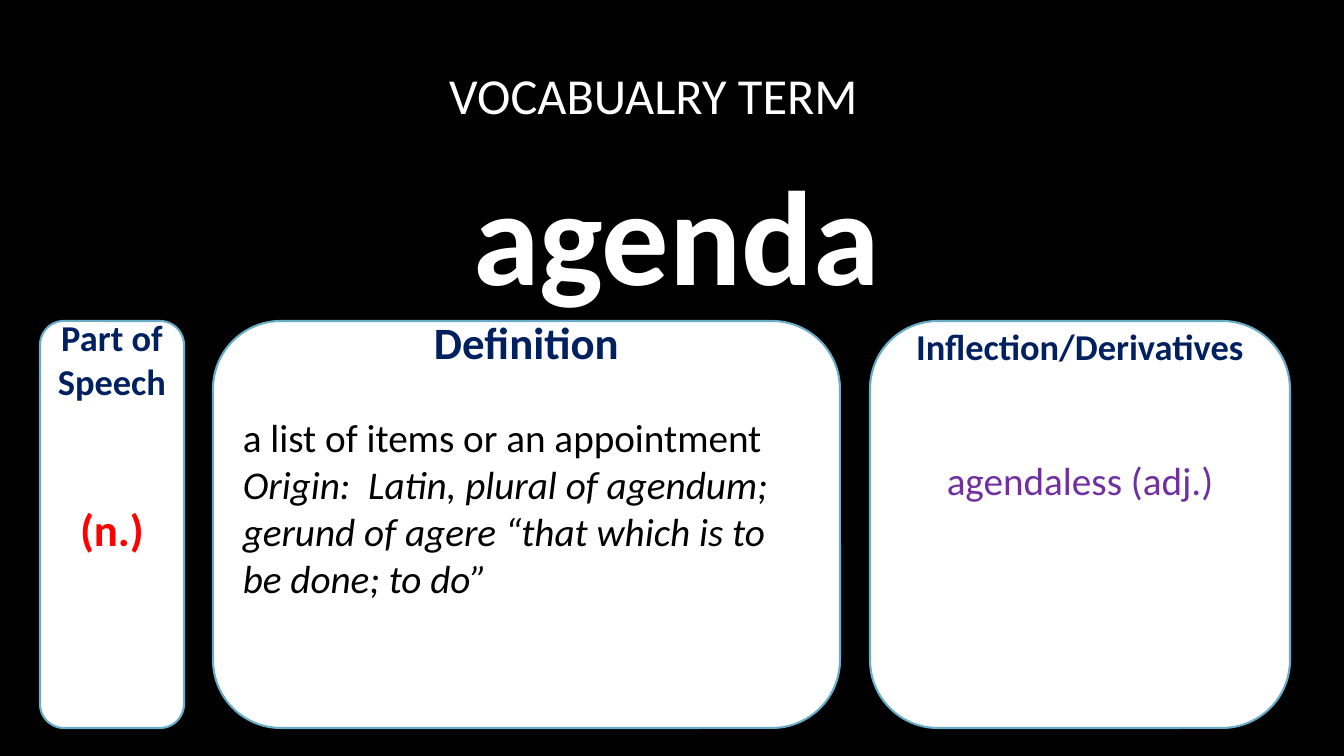
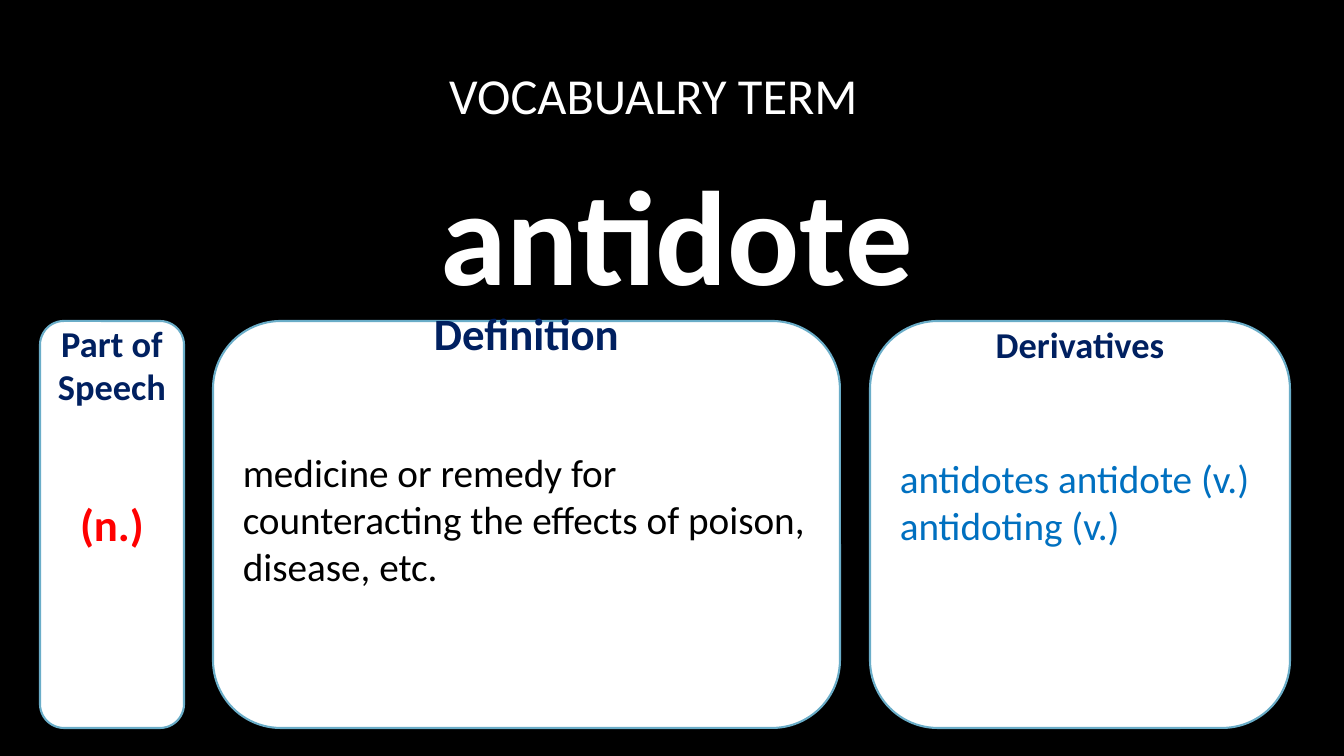
from pptx import Presentation
from pptx.dml.color import RGBColor
from pptx.enum.shapes import MSO_SHAPE as Shape
from pptx.enum.text import MSO_ANCHOR as Anchor, MSO_AUTO_SIZE as AutoSize, PP_ALIGN as Align
from pptx.oxml.ns import qn
from pptx.util import Inches, Pt
from lxml.etree import SubElement

PX = Inches(7.5) / 756
BLACK, WHITE, NAVY, RED, EDGE = "000000", "FFFFFF", "002060", "FF0000", "6AADC8"
PURPLE, BLUE = "7030A0", "0070C0"
CARD_TOP, CARD_HEIGHT = 321, 407
PART, DEFINITION, DERIVATIVES = (40, 144), (213, 627), (870, 420)


def px(length):
    return round(length * PX)


def style(paragraph, text, size, color, bold=False, italic=False, align=Align.CENTER, before=0):
    paragraph.text = text
    paragraph.alignment = align
    paragraph.space_before = Pt(before)
    font = paragraph.font
    font.name, font.size, font.bold, font.italic = "Calibri", Pt(size), bold, italic
    font.color.rgb = RGBColor.from_string(color)


terms = [
    ("agenda", [
        (PART, 183, [
            ("Part of Speech", 26, NAVY, True),
            ("(n.)", 32, RED, True, False, Align.CENTER, 71),
        ]),
        (DERIVATIVES, 227, [
            ("Inflection/Derivatives", 26, NAVY, True),
            ("agendaless (adj.)", 28, PURPLE, False, False, Align.CENTER, 63),
        ]),
        (DEFINITION, 138, [
            ("Definition", 32, NAVY, True),
            ("a list of items or an appointment", 28, BLACK, False, False, Align.LEFT, 32),
            ("Origin:  Latin, plural of agendum; gerund of agere “that which is to be done; to do”",
             28, BLACK, False, True, Align.LEFT),
        ]),
    ]),
    ("antidote", [
        (PART, 183, [
            ("Part of Speech", 26, NAVY, True),
            ("(n.)", 32, RED, True, False, Align.CENTER, 63),
        ]),
        (DERIVATIVES, 183, [
            ("Derivatives", 26, NAVY, True),
            ("antidotes antidote (v.)", 28, BLUE, False, False, Align.LEFT, 63),
            ("antidoting (v.)", 28, BLUE, False, False, Align.LEFT),
        ]),
        (DEFINITION, 159, [
            ("Definition", 32, NAVY, True),
            ("medicine or remedy for counteracting the effects of poison, disease, etc.",
             28, BLACK, False, False, Align.LEFT, 63),
        ]),
    ]),
]

prs = Presentation()
prs.slide_width, prs.slide_height = px(1344), px(756)
master_fill = prs.slide_master.background.fill
master_fill.solid()
master_fill.fore_color.rgb = RGBColor.from_string(BLACK)

for term, cards in terms:
    slide = prs.slides.add_slide(prs.slide_layouts[1])
    heading, word = slide.shapes.title, slide.placeholders[1]
    for holder, top, height in ((heading, 46, 97), (word, 143, 177)):
        holder.left, holder.top, holder.width, holder.height = px(118), px(top), px(1117), px(height)
        holder.text_frame.auto_size = AutoSize.NONE
        holder.text_frame.vertical_anchor = Anchor.MIDDLE
    heading.text_frame.margin_right = px(56)
    style(heading.text_frame.paragraphs[0], "VOCABUALRY TERM", 36, WHITE)

    word_line = word.text_frame.paragraphs[0]
    properties = word_line._p.get_or_add_pPr()
    properties.set("marL", "0")
    properties.set("indent", "0")
    SubElement(properties, qn("a:buNone"))
    style(word_line, term, 96, WHITE, True)
    word_line.space_after = Pt(10)

    for (left, width), bottom_inset, lines in cards:
        card = slide.shapes.add_shape(
            Shape.ROUNDED_RECTANGLE, px(left), px(CARD_TOP), px(width), px(CARD_HEIGHT))
        card.shadow.inherit = False
        card.fill.solid()
        card.fill.fore_color.rgb = RGBColor.from_string(WHITE)
        card.line.color.rgb = RGBColor.from_string(EDGE)
        card.line.width = Pt(1.5)
        frame = card.text_frame
        frame.word_wrap = True
        frame.vertical_anchor = Anchor.MIDDLE
        frame.margin_bottom = px(bottom_inset)
        for index, line in enumerate(lines):
            style(frame.add_paragraph() if index else frame.paragraphs[0], *line)

prs.save("out.pptx")
